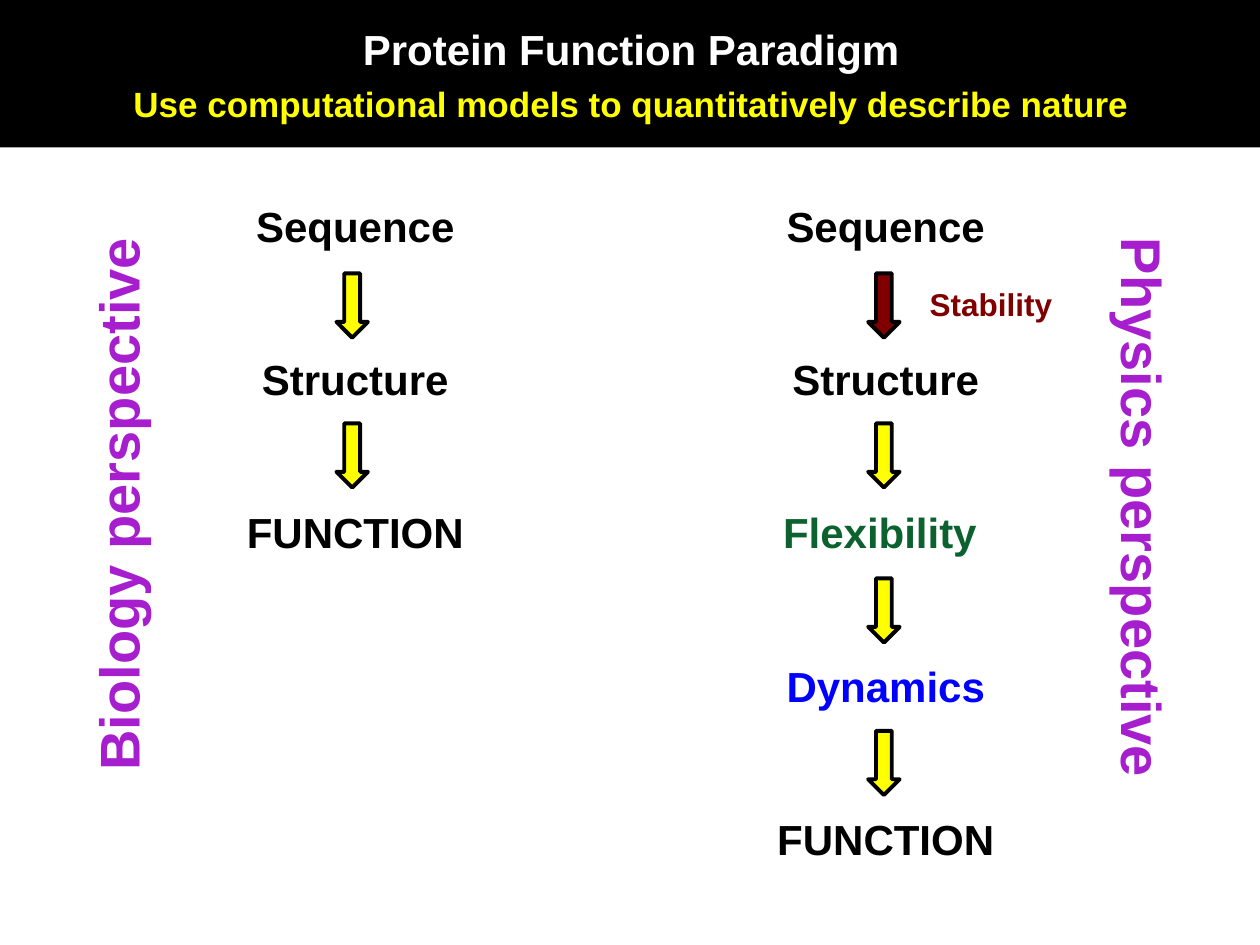
"""Build the protein function paradigm slide."""
from pptx import Presentation
from pptx import util as u
from pptx.dml.color import RGBColor
from pptx.enum import shapes, text

BLACK, YELLOW, MAROON, PURPLE = "000000", "FFFF00", "800000", "A61ECD"
ARROW_TOPS = (2.17, 3.36, 4.59, 5.8)


def rgb(value):
    """Turn a hex string into a colour."""
    return RGBColor.from_string(value)


def add_run(p, words, size, color):
    """Add a bold Arial run to a paragraph."""
    r = p.add_run()
    r.text = words
    r.font.name = "Arial"
    r.font.size = u.Pt(size)
    r.font.bold = True
    r.font.color.rgb = rgb(color)


def add_lines(tf, lines, align, gap=0):
    """Write (words, size, color) lines with a gap between them."""
    for i, line in enumerate(lines):
        p = tf.paragraphs[0] if i == 0 else tf.add_paragraph()
        p.alignment = align
        p.space_before = u.Pt(gap if i else 0)
        add_run(p, *line)


def add_title(s, lines):
    """Fill the title placeholder as a black banner."""
    sp = s.shapes.title
    sp.left, sp.top = u.Inches(-0.04), u.Inches(0)
    sp.width, sp.height = u.Inches(10.1), u.Inches(1.17)
    sp.fill.solid()
    sp.fill.fore_color.rgb = rgb(BLACK)
    tf = sp.text_frame
    tf.auto_size = text.MSO_AUTO_SIZE.NONE
    tf.vertical_anchor = text.MSO_ANCHOR.MIDDLE
    add_lines(tf, lines, text.PP_ALIGN.CENTER, 5)


def add_label(parent, box, lines, align=text.PP_ALIGN.LEFT, gap=0, rotation=0):
    """Add an unwrapped text box."""
    sp = parent.add_textbox(*map(u.Inches, box))
    sp.rotation = rotation
    tf = sp.text_frame
    tf.word_wrap = False
    tf.auto_size = text.MSO_AUTO_SIZE.SHAPE_TO_FIT_TEXT
    add_lines(tf, lines, align, gap)


def add_arrow(parent, left, top, color):
    """Add an outlined down arrow."""
    sp = parent.add_shape(shapes.MSO_SHAPE.DOWN_ARROW,
                          *map(u.Inches, (left, top, 0.25, 0.51)))
    sp.shadow.inherit = False
    sp.fill.solid()
    sp.fill.fore_color.rgb = rgb(color)
    sp.line.color.rgb = rgb(BLACK)
    sp.line.width = u.Pt(2.25)


def add_chain(s, left, height, arrow_left, steps, arrow_colors):
    """Add a grouped column of steps joined by arrows."""
    group = s.shapes.add_group_shape().shapes
    add_label(group, (left, 1.54, 1.94, height),
              [(words, 24, color) for words, color in steps],
              text.PP_ALIGN.CENTER, 58.8)
    for top, color in zip(ARROW_TOPS, arrow_colors):
        add_arrow(group, arrow_left, top, color)
    return group


def main():
    """Build and save the slide."""
    prs = Presentation()
    prs.slide_width, prs.slide_height = u.Inches(10), u.Inches(7.5)
    s = prs.slides.add_slide(prs.slide_layouts[5])
    add_title(s, [
        ("Protein Function Paradigm", 24, "FFFFFF"),
        ("Use computational models to quantitatively describe nature", 20, YELLOW),
    ])
    start = [("Sequence", BLACK), ("Structure", BLACK)]
    end = [("FUNCTION", BLACK)]
    middle = [("Flexibility ", "0B622E"), ("Dynamics", "0000FF")]
    add_chain(s, 1.85, 2.93, 2.67, start + end, [YELLOW] * 2)
    physics = add_chain(s, 6.06, 5.35, 6.89, start + middle + end,
                        [MAROON] + [YELLOW] * 3)
    add_label(physics, (7.28, 2.21, 1.21, 0.4), [("Stability", 18, MAROON)])
    add_label(s.shapes, (-1.31, 3.65, 4.49, 0.64),
              [("Biology perspective", 32, PURPLE)], rotation=270)
    add_label(s.shapes, (6.8, 3.74, 4.54, 0.64),
              [("Physics perspective", 32, PURPLE)], rotation=90)
    prs.save("out.pptx")


if __name__ == "__main__":
    main()
